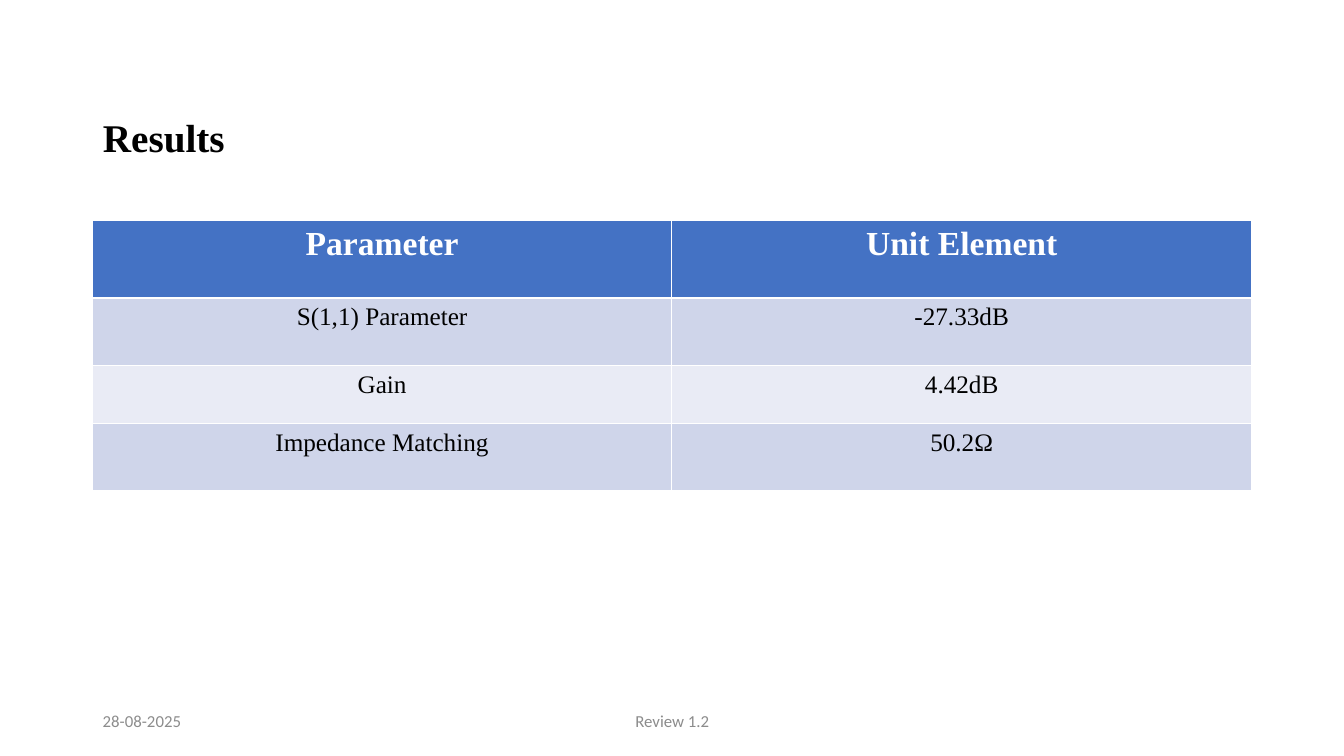
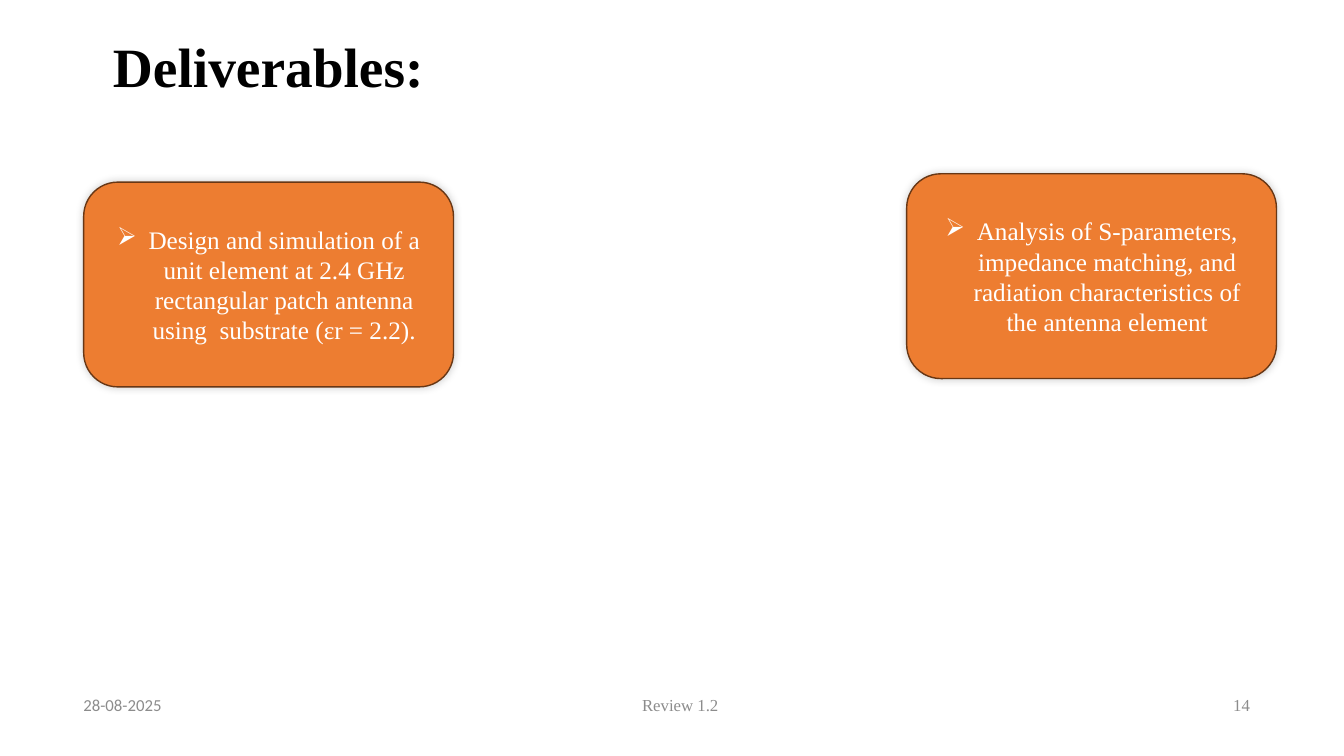
from dataclasses import dataclass

from lxml.etree import SubElement
from pptx import Presentation
from pptx.dml.color import RGBColor
from pptx.enum.shapes import MSO_SHAPE
from pptx.enum.text import MSO_ANCHOR, MSO_AUTO_SIZE, PP_ALIGN
from pptx.oxml.ns import qn
from pptx.util import Cm, Pt


@dataclass(frozen=True)
class Theme:
    serif: str = "Times New Roman"
    sans: str = "Calibri"
    black: str = "000000"
    white: str = "FFFFFF"
    grey: str = "8C8C8C"
    header: str = "4472C4"
    bands: tuple = ("CFD5EA", "E9EBF5")
    card: str = "ED7D31"
    card_edge: str = "683715"
    results_title: float = 28
    deliverables_title: float = 39.6
    table_head: float = 24
    body: float = 18
    footer: float = 12


THEME = Theme()


def write(frame, text, size=THEME.body, color=THEME.black, font=THEME.serif,
          bold=False, align=PP_ALIGN.CENTER, anchor=None, bullet=None):
    """Put one formatted paragraph into a text frame."""
    frame.word_wrap = True
    if anchor is not None:
        frame.vertical_anchor = anchor
    paragraph = frame.paragraphs[0]
    paragraph.alignment = align
    if bullet:
        properties = paragraph._p.get_or_add_pPr()
        properties.set("marL", str(Cm(0.79)))
        properties.set("indent", str(-Cm(0.79)))
        SubElement(properties, qn("a:buChar"), char=bullet)
    run = paragraph.add_run()
    run.text = text
    run.font.name = font
    run.font.size = Pt(size)
    run.font.bold = bold
    run.font.color.rgb = RGBColor.from_string(color)


def add_slide(heading, title_box, title_format, footer_top, footers):
    """Add a slide with its title and its row of footers."""
    slide = deck.slides.add_slide(deck.slide_layouts[5])
    title = slide.shapes.title
    title.left, title.top, title.width, title.height = map(Cm, title_box)
    title.text_frame.auto_size = MSO_AUTO_SIZE.NONE
    write(title.text_frame, heading, bold=True, **title_format)
    for text, left, width, font, align in footers:
        box = slide.shapes.add_textbox(Cm(left), Cm(footer_top), Cm(width), Cm(1.02))
        write(box.text_frame, text, size=THEME.footer, color=THEME.grey,
              font=font, align=align, anchor=MSO_ANCHOR.MIDDLE)
    return slide


deck = Presentation()
deck.slide_width, deck.slide_height = Cm(33.87), Cm(19.05)
DATE, REVIEW = "28-08-2025", "Review 1.2"

# Results
results = add_slide(
    "Results", (2.34, 2.72, 15.62, 1.45),
    dict(size=THEME.results_title, align=PP_ALIGN.LEFT, anchor=MSO_ANCHOR.TOP),
    17.65,
    [(DATE, 2.34, 7.62, THEME.sans, PP_ALIGN.LEFT),
     (REVIEW, 11.23, 11.43, THEME.sans, PP_ALIGN.CENTER)])

measurements = [
    ("Parameter", "Unit Element"),
    ("S(1,1) Parameter", "-27.33dB"),
    ("Gain", "4.42dB"),
    ("Impedance Matching", "50.2Ω"),
]
column_widths = (14.58, 14.63)
row_heights = (1.95, 1.7, 1.47, 1.68)
table = results.shapes.add_table(
    len(measurements), len(column_widths), Cm(2.34), Cm(5.56),
    Cm(sum(column_widths)), Cm(sum(row_heights))).table
for column, width in zip(table.columns, column_widths):
    column.width = Cm(width)
for index, (row, values) in enumerate(zip(table.rows, measurements)):
    row.height = Cm(row_heights[index])
    is_head = index == 0
    fill = THEME.header if is_head else THEME.bands[(index - 1) % 2]
    for cell, value in zip(row.cells, values):
        cell.fill.solid()
        cell.fill.fore_color.rgb = RGBColor.from_string(fill)
        write(cell.text_frame, value, bold=is_head,
              size=THEME.table_head if is_head else THEME.body,
              color=THEME.white if is_head else THEME.black)

# Deliverables
deliverables = add_slide(
    "Deliverables:", (1.85, 0.7, 9.83, 1.9),
    dict(size=THEME.deliverables_title, anchor=MSO_ANCHOR.MIDDLE),
    17.25,
    [(DATE, 1.85, 7.62, THEME.sans, PP_ALIGN.LEFT),
     (REVIEW, 11.43, 11.43, THEME.serif, PP_ALIGN.CENTER),
     ("14", 24.13, 7.62, THEME.serif, PP_ALIGN.RIGHT)])

outcomes = [
    (2.11, 4.59, "Design and simulation of a unit element at 2.4 GHz rectangular "
                 "patch antenna using  substrate (εr = 2.2)."),
    (22.85, 4.38, "Analysis of S-parameters, impedance matching, and radiation "
                  "characteristics of the antenna element"),
]
for left, top, outcome in outcomes:
    card = deliverables.shapes.add_shape(
        MSO_SHAPE.ROUNDED_RECTANGLE, Cm(left), Cm(top), Cm(9.32), Cm(5.16))
    card.fill.solid()
    card.fill.fore_color.rgb = RGBColor.from_string(THEME.card)
    card.line.color.rgb = RGBColor.from_string(THEME.card_edge)
    card.line.width = Pt(1)
    # Soft shadow all round the card
    card.shadow.inherit = False
    effects = card._element.spPr.find(qn("a:effectLst"))
    glow = SubElement(effects, qn("a:outerShdw"), blurRad=str(Pt(6)), dist="0",
                      dir=str(225 * 60000), algn="ctr", rotWithShape="0")
    shade = SubElement(glow, qn("a:srgbClr"), val=THEME.black)
    SubElement(shade, qn("a:alpha"), val="20000")
    write(card.text_frame, outcome, color=THEME.white,
          anchor=MSO_ANCHOR.MIDDLE, bullet="➢")

deck.save("out.pptx")
